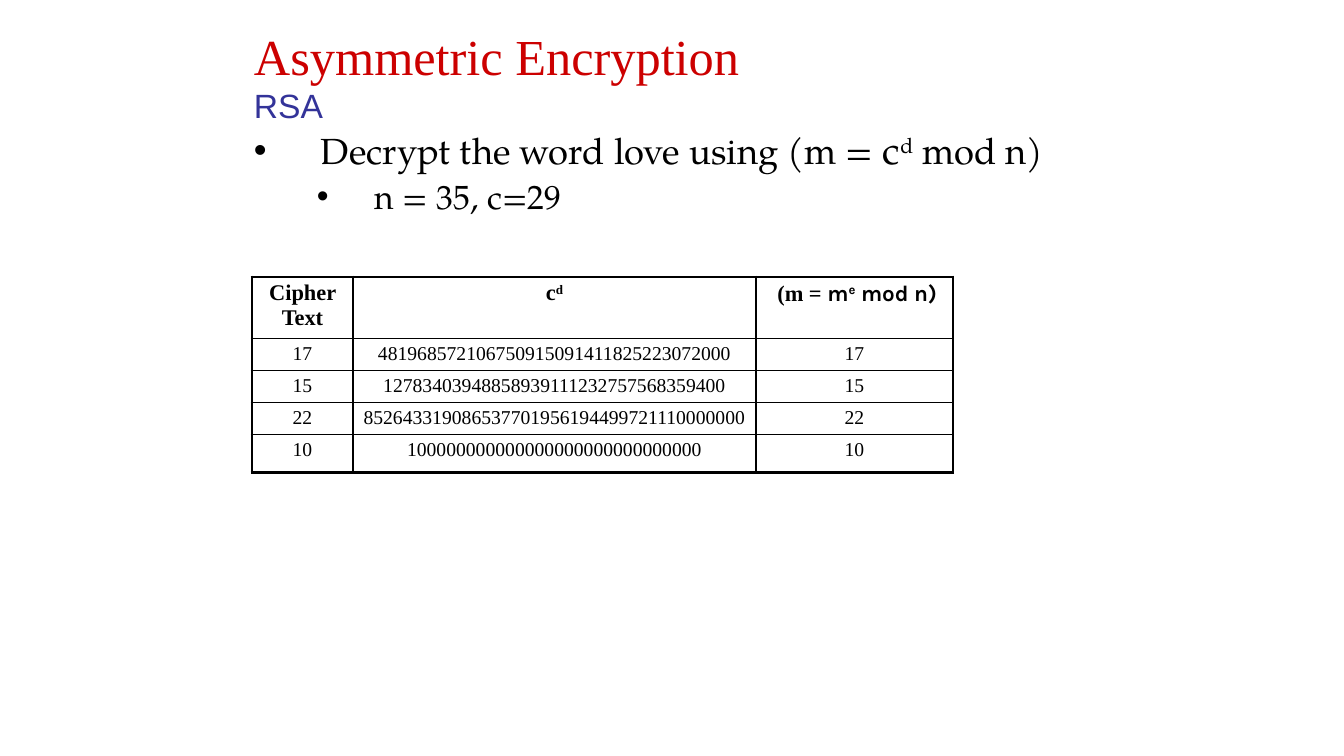
"""Build the asymmetric encryption slide with the RSA decryption table."""
from lxml.etree import SubElement
from pptx import Presentation
from pptx.dml.color import RGBColor as RGB
from pptx.enum.text import MSO_ANCHOR as ANCHOR, PP_ALIGN as ALIGN
from pptx.oxml.ns import qn
from pptx.util import Pt

PX = 914400 / 100.8
COLORS = {"black": "000000", "title": "CC0000", "subtitle": "333399"}
SERIF, BODY, SANS, MATH = "Times New Roman", "TeX Gyre Pagella", "Arial", "Karla"


def px(n):
    return round(n * PX)


def add_run(p, text, size, font, color="black", bold=False, raised=False):
    r = p.add_run()
    r.text = text
    r.font.size, r.font.name, r.font.bold = Pt(size), font, bold
    r.font.color.rgb = RGB.from_string(COLORS[color])
    if raised:
        r._r.get_or_add_rPr().set("baseline", "30000")


prs = Presentation()
prs.slide_width, prs.slide_height = px(1344), px(756)
s = prs.slides.add_slide(prs.slide_layouts[6])

body = s.shapes.add_textbox(px(244), px(126), px(958), px(345))
tf = body.text_frame
tf.word_wrap = True
bullets = [
    (0, 67, 67, 10, [("Decrypt the word love using (m = ", 26, False), ("c", 28, False),
                     ("d", 26, True), (" mod n)", 26, False)]),
    (1, 121, 58, 5, [("n = 35, c=29", 24, False)]),
]
for i, (level, margin, hang, before, runs) in enumerate(bullets):
    p = tf.add_paragraph() if i else tf.paragraphs[0]
    p.level, p.line_spacing, p.space_before = level, 0.9, Pt(before)
    pPr = p._p.get_or_add_pPr()
    pPr.set("marL", str(px(margin)))
    pPr.set("indent", str(-px(hang)))
    SubElement(pPr, qn("a:buFont")).set("typeface", SANS)
    SubElement(pPr, qn("a:buChar")).set("char", "•")
    for text, size, raised in runs:
        add_run(p, text, size, BODY, raised=raised)

title = s.shapes.add_textbox(px(244), px(8), px(857), px(126))
tf = title.text_frame
tf.word_wrap, tf.vertical_anchor, tf.margin_top = True, ANCHOR.MIDDLE, px(13)
p = tf.paragraphs[0]
add_run(p, "Asymmetric Encryption", 36, SERIF, "title")
p.add_line_break()
add_run(p, "RSA", 24, SANS, "subtitle")

header = [
    [("Cipher Text", SERIF, False)],
    [("c", SERIF, False), ("d", SERIF, True)],
    [(" (m = ", SERIF, False), ("m", MATH, False), ("e", MATH, True), (" mod n)", MATH, False)],
]
values = [
    ("17", "481968572106750915091411825223072000"),
    ("15", "12783403948858939111232757568359400"),
    ("22", "852643319086537701956194499721110000000"),
    ("10", "100000000000000000000000000000"),
]
rows = [header] + [[[(v, SERIF, False)] for v in (c, power, c)] for c, power in values]
widths, heights = [101, 403, 197], [60, 32, 32, 32, 38]
frame = s.shapes.add_table(len(rows), len(widths), px(252), px(277),
                           px(sum(widths)), px(sum(heights)))
table = frame.table
table.first_row = table.horz_banding = False
for column, width in zip(table.columns, widths):
    column.width = px(width)
for i, (row, height) in enumerate(zip(rows, heights)):
    table.rows[i].height = px(height)
    for j, runs in enumerate(row):
        cell = table.cell(i, j)
        cell.margin_top = cell.margin_bottom = px(4)
        p = cell.text_frame.paragraphs[0]
        p.alignment = ALIGN.CENTER
        for text, font, raised in runs:
            add_run(p, text, 14 if i else 16, font, bold=i == 0, raised=raised)
        tcPr = cell._tc.get_or_add_tcPr()
        thick = {"L": j == 0, "R": False, "T": i == 0, "B": i == len(rows) - 1}
        for side, outer in thick.items():
            ln = SubElement(tcPr, qn("a:ln" + side), w=str(Pt(2.25 if outer else 1)))
            SubElement(SubElement(ln, qn("a:solidFill")), qn("a:srgbClr"), val=COLORS["black"])
        cell.fill.background()

prs.save("out.pptx")
